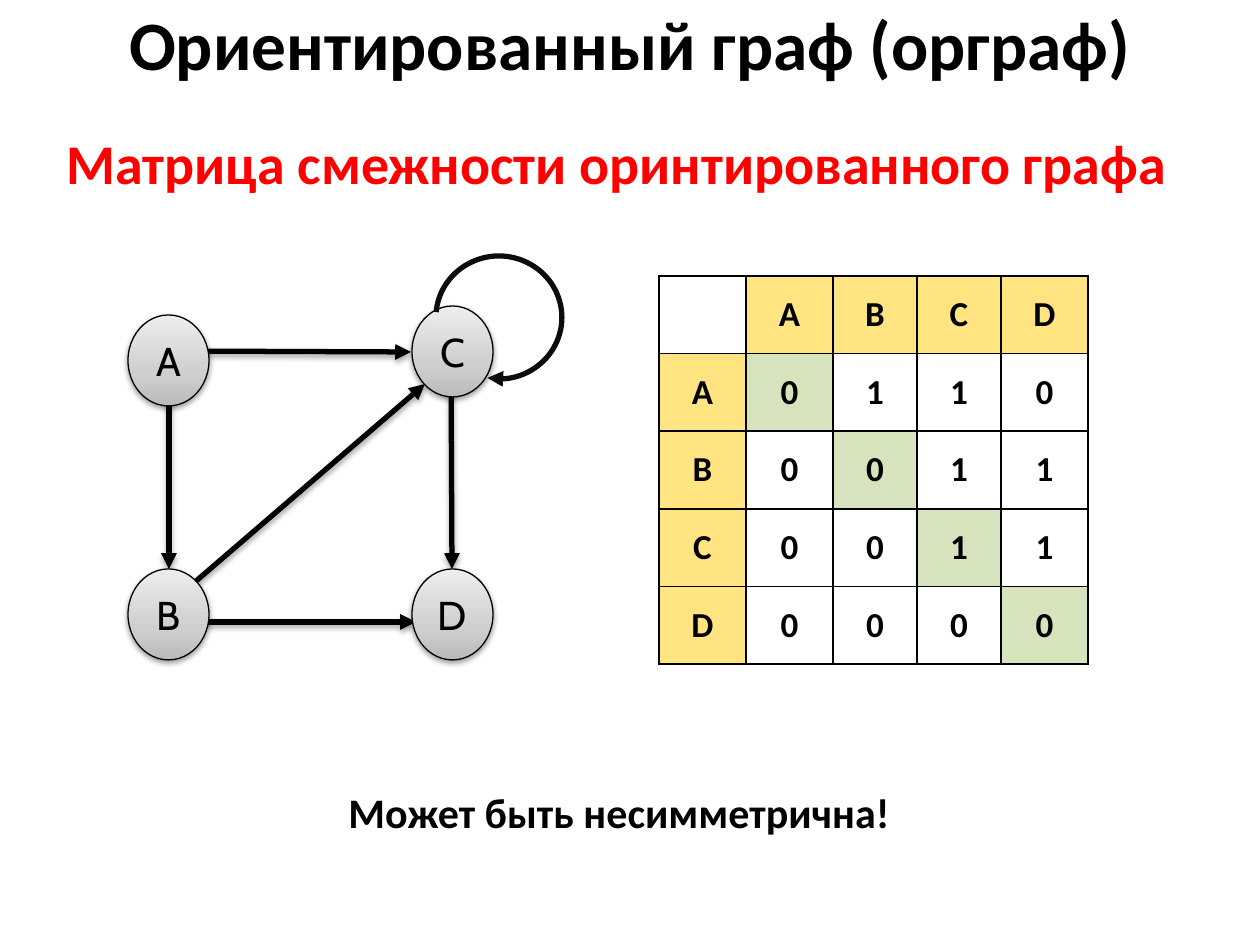
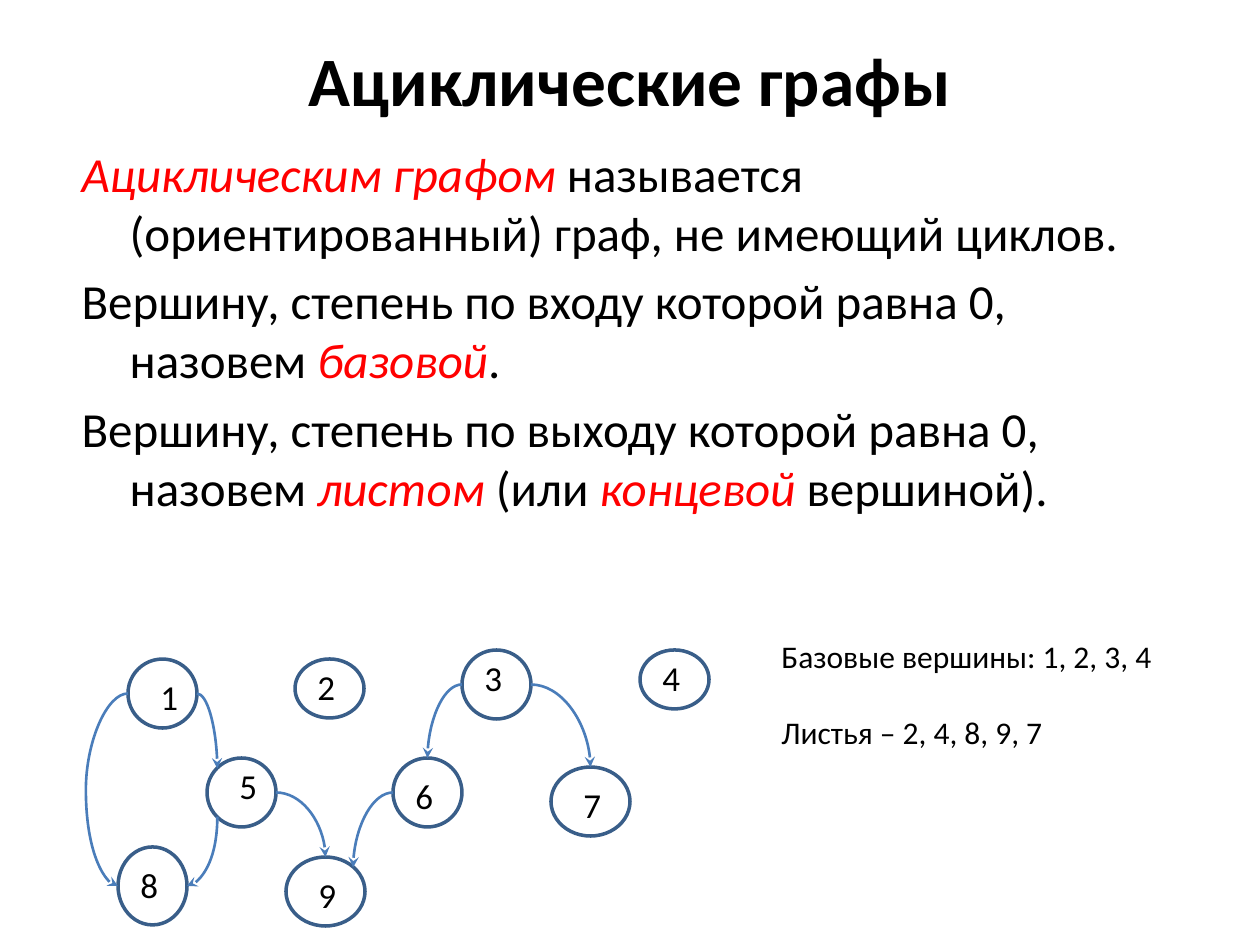
import copy
import itertools
from dataclasses import dataclass

import lxml.etree
import pptx
import pptx.dml.color
import pptx.enum.dml
import pptx.enum.shapes
import pptx.enum.text
import pptx.oxml
import pptx.oxml.ns
import pptx.util

SHAPE = pptx.enum.shapes.MSO_SHAPE
CONNECTOR = pptx.enum.shapes.MSO_CONNECTOR
ALIGN = pptx.enum.text.PP_ALIGN
ANCHOR = pptx.enum.text.MSO_ANCHOR
qn = pptx.oxml.ns.qn
NS = 'xmlns:a="http://schemas.openxmlformats.org/drawingml/2006/main"'


@dataclass(frozen=True)
class Theme:
    font: str = "Calibri"
    node_font: str = "Cabin"
    ink: str = "000000"
    accent: str = "FF0000"
    loop: str = "0C0C0C"
    header: str = "FFE481"
    diagonal: str = "D6E3BC"
    outline: str = "395E89"
    edge: str = "4A7DBA"
    gradient: tuple = ((0, "BABABA"), (0.35, "CFCFCF"), (1, "EDEDED"))
    title_size: float = 39.6
    subtitle_size: int = 32
    body_size: int = 28
    remark_size: int = 24
    node_size: int = 23
    label_size: int = 20
    note_size: int = 18


THEME = Theme()

DIGRAPH = {
    "title": ("Ориентированный граф (орграф)", (63, 0, 1134, 86)),
    "subtitle": ("Матрица смежности оринтированного графа", (54, 122, 1211, 81)),
    "remark": ("Может быть несимметрична!", (333, 780, 572, 63)),
    "node_size": (81, 91),
    "nodes": {"A": (128, 315), "C": (412, 306), "D": (412, 569), "B": (128, 569)},
    "edges": [
        (185, 622, 416, 622),
        (163, 351, 411, 352),
        (169, 351, 169, 569),
        (451, 358, 452, 569),
        (195, 582, 425, 384),
    ],
    "loop": (436, 256, 126, 123),
    "matrix_at": (659, 276),
    "matrix_cols": (87, 87, 84, 84, 87),
    "matrix_height": 388,
    "matrix": {"A": "0110", "B": "0011", "C": "0011", "D": "0000"},
}

ACYCLIC = {
    "title": ("Ациклические графы", (63, 38, 1134, 81)),
    "body_box": (69, 137, 1134, 431),
    "body": [
        [("Ациклическим графом ", True),
         ("называется (ориентированный) граф, не имеющий циклов.", False)],
        [("Вершину, степень по входу которой равна 0, назовем ", False),
         ("базовой", True), (".", False)],
        [("Вершину, степень по выходу которой равна 0, назовем ", False),
         ("листом ", True), ("(или ", False), ("концевой ", True),
         ("вершиной).", False)],
    ],
    "nodes": {
        "1": ((128, 659, 69, 69), (20, 10)),
        "2": ((295, 659, 69, 59), (10, 0)),
        "3": ((462, 650, 69, 69), (10, 0)),
        "4": ((640, 650, 69, 59), (10, 0)),
        "5": ((207, 758, 69, 69), (20, 0)),
        "6": ((393, 758, 69, 69), (10, 10)),
        "7": ((551, 767, 79, 69), (20, 10)),
        "8": ((118, 847, 69, 78), (10, 10)),
        "9": ((286, 857, 79, 69), (20, 10)),
    },
    "edges": [
        ("3", "left", "6", "top", "tail"),
        ("6", "left", "9", "top right", "tail"),
        ("5", "right", "9", "top", "tail"),
        ("8", "right", "5", "bottom left", "head"),
        ("1", "right", "5", "top left", "tail"),
        ("3", "right", "7", "top", "tail"),
    ],
    "outer_edge": ("1", "left", "8", "left", "tail"),
    "outer_bend": 420200,
    "note": (["Базовые вершины: 1, 2, 3, 4", "Листья – 2, 4, 8, 9, 7"],
             (769, 631, 476, 127)),
}

SIDES = {
    "left": (0, 0.5), "right": (1, 0.5), "top": (0.5, 0),
    "top left": (0.15, 0.15), "top right": (0.85, 0.15), "bottom left": (0.15, 0.85),
}


def px(value):
    return round(value * 914400 / 126)


def box(values):
    return [px(v) for v in values]


def rgb(value):
    return pptx.dml.color.RGBColor.from_string(value)


def style(font, size, color=THEME.ink, bold=False, italic=False, name=THEME.font):
    font.name, font.size, font.bold, font.italic = name, pptx.util.Pt(size), bold, italic
    font.color.rgb = rgb(color)


def place(s, values):
    s.left, s.top, s.width, s.height = box(values)


def set_line(line, color, width):
    line.color.rgb = rgb(color)
    line.width = pptx.util.Pt(width)


def arrowhead(s, end="tail", kind="triangle"):
    ln = s.line._get_or_add_ln()
    lxml.etree.SubElement(ln, qn(f"a:{end}End"), type=kind)


def set_effects(s, shadow=None):
    inner = ""
    if shadow:
        distance, alpha = shadow
        inner = (f'<a:outerShdw blurRad="40000" dist="{distance}" dir="5400000" rotWithShape="0">'
                 f'<a:srgbClr val="{THEME.ink}"><a:alpha val="{alpha}"/></a:srgbClr></a:outerShdw>')
    s._element.spPr.append(pptx.oxml.parse_xml(f"<a:effectLst {NS}>{inner}</a:effectLst>"))


def add_title(slide, title):
    text, at = title
    s = slide.shapes.title
    place(s, at)
    tf = s.text_frame
    tf.text = text
    tf.auto_size = pptx.enum.text.MSO_AUTO_SIZE.NONE
    tf.vertical_anchor = ANCHOR.MIDDLE
    p = tf.paragraphs[0]
    p.alignment = ALIGN.CENTER
    style(p.runs[0].font, THEME.title_size, bold=True)


def add_text(slide, lines, at, size, align=ALIGN.LEFT, gap=0, wrap=True, **look):
    tf = slide.shapes.add_textbox(*box(at)).text_frame
    tf.word_wrap = wrap
    tf.text = "\n".join(lines)
    for i, p in enumerate(tf.paragraphs):
        p.alignment = align
        if i:
            p.space_before = pptx.util.Pt(gap)
        style(p.runs[0].font, size, **look)


def add_ellipse(slide, at, color, width):
    s = slide.shapes.add_shape(SHAPE.OVAL, *box(at))
    set_line(s.line, color, width)
    return s


def add_line(slide, kind, ends, color, width, shadow=None):
    s = slide.shapes.add_connector(kind, *box(ends))
    set_line(s.line, color, width)
    set_effects(s, shadow)
    return s


def fill_gradient(s):
    s.fill.gradient()
    s.fill.gradient_angle = 90
    stops = s._element.spPr.find(".//" + qn("a:gsLst"))
    stops.insert(1, copy.deepcopy(stops[0]))
    for stop, (position, color) in zip(s.fill.gradient_stops, THEME.gradient):
        stop.position = position
        stop.color.rgb = rgb(color)


def add_letter_node(slide, letter, at):
    s = add_ellipse(slide, at, THEME.ink, 0.75)
    fill_gradient(s)
    set_effects(s, (20000, 37000))
    tf = s.text_frame
    tf.word_wrap = False
    tf.vertical_anchor = ANCHOR.MIDDLE
    tf.text = letter
    p = tf.paragraphs[0]
    p.alignment = ALIGN.CENTER
    style(p.runs[0].font, THEME.node_size, name=THEME.node_font)


def add_loop(slide, at):
    s = slide.shapes.add_shape(SHAPE.ARC, *box(at))
    s.adjustments[0], s.adjustments[1] = 110.94, 60.484
    s.shadow.inherit = False
    s.fill.background()
    set_line(s.line, THEME.loop, 3)
    arrowhead(s)


def add_borders(cell):
    tcPr = cell._tc.get_or_add_tcPr()
    for side in "LRTB":
        tcPr.append(pptx.oxml.parse_xml(
            f'<a:ln{side} {NS} w="12700"><a:solidFill><a:srgbClr val="{THEME.ink}"/>'
            f'</a:solidFill></a:ln{side}>'))


def add_matrix(slide, data):
    rows = [["", *data["matrix"]]] + [[k, *v] for k, v in data["matrix"].items()]
    n = len(rows)
    size = (sum(data["matrix_cols"]), data["matrix_height"])
    table = slide.shapes.add_table(n, n, *box(data["matrix_at"] + size)).table
    table.first_row = table.horz_banding = False
    for col, width in zip(table.columns, data["matrix_cols"]):
        col.width = px(width)
    for i, j in itertools.product(range(n), repeat=2):
        cell = table.cell(i, j)
        add_borders(cell)
        cell.margin_left = cell.margin_right = px(9)
        cell.margin_top = cell.margin_bottom = 0
        cell.vertical_anchor = ANCHOR.MIDDLE
        if i == j == 0:
            cell.fill.background()
            continue
        if i == j or i * j == 0:
            cell.fill.solid()
            cell.fill.fore_color.rgb = rgb(THEME.diagonal if i == j else THEME.header)
        else:
            cell.fill.background()
        cell.text = rows[i][j]
        p = cell.text_frame.paragraphs[0]
        p.alignment = ALIGN.CENTER
        style(p.runs[0].font, THEME.label_size, bold=True)


def add_definitions(s, data):
    place(s, data["body_box"])
    tf = s.text_frame
    tf.auto_size = pptx.enum.text.MSO_AUTO_SIZE.NONE
    for i, parts in enumerate(data["body"]):
        p = tf.add_paragraph() if i else tf.paragraphs[0]
        pPr = p._p.get_or_add_pPr()
        pPr.set("marL", str(px(48)))
        pPr.set("indent", str(-px(48)))
        lxml.etree.SubElement(pPr, qn("a:buNone"))
        p.space_before = pptx.util.Pt(5.6 if i else 0)
        for text, is_term in parts:
            r = p.add_run()
            r.text = text
            style(r.font, THEME.body_size, THEME.accent if is_term else THEME.ink, italic=is_term)


def side_point(nodes, name, side):
    (x, y, w, h), _ = nodes[name]
    fx, fy = SIDES[side]
    return x + fx * w, y + fy * h


def add_curve(slide, nodes, edge):
    start, start_side, finish, finish_side, end = edge
    ends = side_point(nodes, start, start_side) + side_point(nodes, finish, finish_side)
    s = add_line(slide, CONNECTOR.CURVE, ends, THEME.edge, 1.5)
    arrowhead(s, end, "stealth")
    return s._element.spPr.find(qn("a:prstGeom"))


def build_digraph(prs, data):
    slide = prs.slides.add_slide(prs.slide_layouts[5])
    add_title(slide, data["title"])
    add_matrix(slide, data)
    for ends in data["edges"]:
        arrowhead(add_line(slide, CONNECTOR.STRAIGHT, ends, THEME.ink, 3, (23000, 35000)))
    for letter, at in data["nodes"].items():
        add_letter_node(slide, letter, at + data["node_size"])
    add_loop(slide, data["loop"])
    text, at = data["subtitle"]
    add_text(slide, [text], at, THEME.subtitle_size, color=THEME.accent, bold=True)
    text, at = data["remark"]
    add_text(slide, [text], at, THEME.remark_size, ALIGN.CENTER, bold=True)


def build_acyclic(prs, data):
    slide = prs.slides.add_slide(prs.slide_layouts[1])
    add_title(slide, data["title"])
    add_definitions(slide.placeholders[1], data)
    nodes = data["nodes"]
    for label, (at, (dx, dy)) in nodes.items():
        s = add_ellipse(slide, at, THEME.outline, 2)
        s.fill.background()
        s.shadow.inherit = False
        add_text(slide, [label], (at[0] + dx, at[1] + dy, 40, 55), THEME.label_size, wrap=False)
    for edge in data["edges"]:
        add_curve(slide, nodes, edge).set("prst", "curvedConnector2")
    geom = add_curve(slide, nodes, data["outer_edge"])
    guides = geom.find(qn("a:avLst"))
    lxml.etree.SubElement(guides, qn("a:gd"), name="adj1", fmla=f"val {data['outer_bend']}")
    lines, at = data["note"]
    add_text(slide, lines, at, THEME.note_size, gap=22)


def main():
    prs = pptx.Presentation()
    prs.slide_width, prs.slide_height = px(1260), px(945)
    build_digraph(prs, DIGRAPH)
    build_acyclic(prs, ACYCLIC)
    prs.save("out.pptx")


if __name__ == "__main__":
    main()
